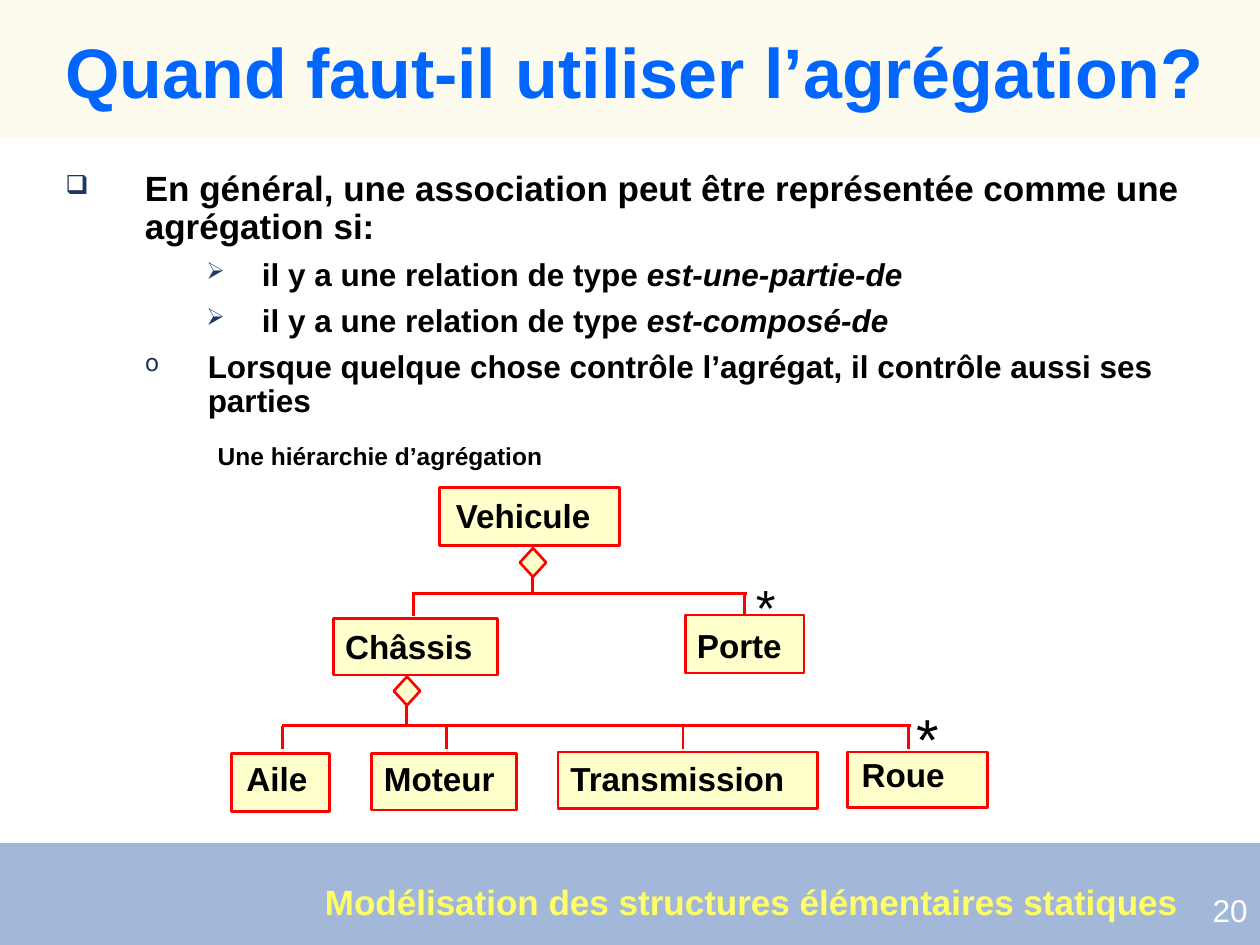
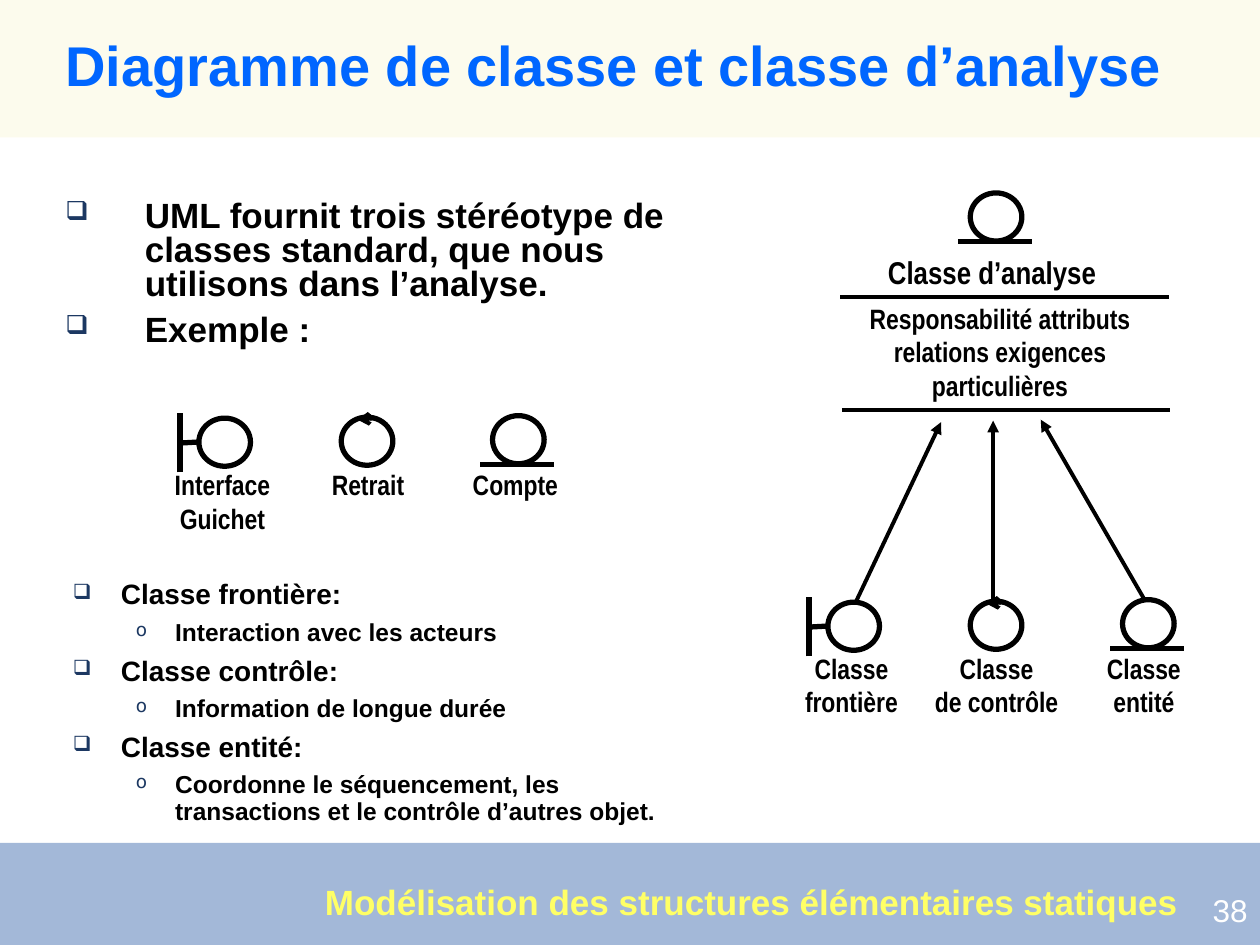
import lxml.etree
import pptx
import pptx.dml.color
import pptx.enum.shapes
import pptx.enum.text
import pptx.oxml.ns
import pptx.util

Cm = pptx.util.Cm
Pt = pptx.util.Pt
SHAPE = pptx.enum.shapes.MSO_SHAPE
ALIGN = pptx.enum.text.PP_ALIGN
ANCHOR = pptx.enum.text.MSO_ANCHOR
qn = pptx.oxml.ns.qn

RED, BLACK, WHITE, CREAM = "FF0000", "000000", "FFFFFF", "FFFFCC"
BLUE, YELLOW, NAVY = "0066FF", "FFFF66", "1C3862"
PAD = (0.25, 0.13)
FOOT = "Modélisation des structures élémentaires statiques"
TITLE = {"bold": True, "color": BLUE}
BOLD = {"bold": True}
NARROW = {"name": "Arial Narrow", "bold": True, "size": 16}
HEAD = {"mark": "❑", "left": 1.6, "hang": 1.6, "size": 20, "before": 7.5, "lead": 0.9}
TIGHT = HEAD | {"lead": 0.8}
SUB = {"mark": "o", "left": 2.87, "hang": 1.27, "size": 18, "before": 6.8, "lead": 0.9}
ARROW = SUB | {"mark": "➢", "left": 3.96, "hang": 1.12}
KIND = HEAD | {"left": 0.97, "hang": 0.97, "size": 16, "before": 6}
ROLE = SUB | {"left": 2.06, "hang": 0.79, "size": 14, "before": 5.2}


def rgb(code):
    """Turn a hex string into a colour."""
    return pptx.dml.color.RGBColor.from_string(code)


def place(shape, box):
    """Set the place and size of a shape in centimetres."""
    for key, size in zip(("left", "top", "width", "height"), box):
        setattr(shape, key, Cm(size))


def write(para, text, color=BLACK, size=18, **style):
    """Add runs to a paragraph; text between underscores is italic."""
    for i, part in enumerate(text.split("_")):
        if not part:
            continue
        run = para.add_run()
        run.text = part
        look = {"name": "Arial", "size": Pt(size), "italic": i % 2 == 1} | style
        for key, value in look.items():
            setattr(run.font, key, value)
        run.font.color.rgb = rgb(color)


def frame(shape, pad=PAD, wrap=True, anchor=ANCHOR.TOP):
    """Set the margins, wrapping and anchor of a text frame."""
    body = shape.text_frame
    form = {"margin_left": Cm(pad[0]), "margin_right": Cm(pad[0]),
            "margin_top": Cm(pad[1]), "margin_bottom": Cm(pad[1]),
            "word_wrap": wrap, "vertical_anchor": anchor,
            "auto_size": pptx.enum.text.MSO_AUTO_SIZE.NONE}
    for key, value in form.items():
        setattr(body, key, value)
    return body


def label(slide, text, box, style, align=ALIGN.LEFT, lead=None, **form):
    """Add a text box with one paragraph for each line of text."""
    shape = slide.shapes.add_textbox(*map(Cm, box))
    body = frame(shape, **form)
    for i, line in enumerate(text.split("\n")):
        para = body.add_paragraph() if i else body.paragraphs[0]
        para.alignment = align
        para.line_spacing = lead
        write(para, line, **style)


def bullet(para, mark, left, hang):
    """Give a paragraph a hanging bullet."""
    props = para._p.get_or_add_pPr()
    props.set("marL", str(Cm(left)))
    props.set("indent", str(-Cm(hang)))
    tint = lxml.etree.SubElement(props, qn("a:buClr"))
    lxml.etree.SubElement(tint, qn("a:srgbClr"), val=NAVY)
    lxml.etree.SubElement(props, qn("a:buSzPct"), val="75000")
    lxml.etree.SubElement(props, qn("a:buChar"), char=mark)


def outline(slide, box, rows):
    """Add a bulleted list made of level and text pairs."""
    body = frame(slide.shapes.add_textbox(*map(Cm, box)))
    for i, (level, text) in enumerate(rows):
        para = body.add_paragraph() if i else body.paragraphs[0]
        bullet(para, level["mark"], level["left"], level["hang"])
        para.line_spacing = level["lead"]
        if i:
            para.space_before = Pt(level["before"])
        write(para, text, size=level["size"], bold=True)


def solid(parent, kind, box, fill, line=None, width=1.5, alpha=None):
    """Add a filled preset shape."""
    shape = parent.shapes.add_shape(kind, *map(Cm, box))
    shape.shadow.inherit = False
    shape.fill.solid()
    shape.fill.fore_color.rgb = rgb(fill)
    if alpha:
        tint = shape.element.spPr.find(".//" + qn("a:srgbClr"))
        lxml.etree.SubElement(tint, qn("a:alpha"), val=str(alpha * 1000))
    if line:
        shape.line.color.rgb = rgb(line)
        shape.line.width = Pt(width)
    else:
        shape.line.fill.background()
    return shape


def link(parent, start, end, color=BLACK, width=2.25, tip=None):
    """Add a straight line, with an arrowhead at its end if asked."""
    kind = pptx.enum.shapes.MSO_CONNECTOR.STRAIGHT
    line = parent.shapes.add_connector(kind, *map(Cm, (*start, *end)))
    line.line.color.rgb = rgb(color)
    line.line.width = Pt(width)
    props = line.element.spPr
    if tip:
        lxml.etree.SubElement(props.find(qn("a:ln")), qn("a:tailEnd"), type=tip)
    lxml.etree.SubElement(props, qn("a:effectLst"))


def node(slide, text, box, pad):
    """Add a class box of the hierarchy."""
    shape = solid(slide, SHAPE.RECTANGLE, box, CREAM, RED)
    para = frame(shape, pad, wrap=False).paragraphs[0]
    para.alignment = ALIGN.LEFT
    write(para, text, size=19, bold=True)


def icon(slide, kind, x, y):
    """Add the symbol of an analysis class as a group."""
    group = slide.shapes.add_group_shape()
    solid(group, SHAPE.OVAL, (x, y, 1.04, 0.97), WHITE, BLACK, 3)
    if kind == "entity":
        link(group, (x - 0.25, y + 0.98), (x + 1.24, y + 0.98), width=3)
    elif kind == "edge":
        link(group, (x - 0.38, y + 1.09), (x - 0.38, y - 0.1), width=3)
        link(group, (x, y + 0.48), (x - 0.36, y + 0.5), width=3)
    else:
        link(group, (x + 0.69, y + 0.02), (x + 0.33, y + 0.05), tip="arrow")


def start(deck, title, size, height, number):
    """Add a slide with its bands, title, footer and number."""
    slide = deck.slides.add_slide(deck.slide_layouts[5])
    solid(slide, SHAPE.RECTANGLE, (0, 0, 25.4, 2.77), "FAF8D8", alpha=45)
    solid(slide, SHAPE.RECTANGLE, (0, 16.99, 25.4, 2.06), "3363A9", alpha=45)
    head = slide.shapes.title
    slide.shapes.element.append(head.element)
    place(head, (1.07, 0.64, 23.8, height))
    para = frame(head).paragraphs[0]
    para.alignment = ALIGN.LEFT
    para.line_spacing = 0.9
    write(para, title, size=size, **TITLE)
    label(slide, str(number), (22.91, 17.83, 2.49, 1.02), {"color": WHITE}, ALIGN.RIGHT)
    label(slide, FOOT, (6.55, 17.75, 17.22, 0.84),
          BOLD | {"size": 20, "color": YELLOW}, pad=(0, 0), wrap=False)
    return slide


def parts(deck):
    """Build the slide on aggregation."""
    slide = start(deck, "Quand faut-il utiliser l’agrégation?", 40, 1.78, 20)
    outline(slide, (1.07, 3.33, 23.83, 5.23), [
        (HEAD, "En général, une association peut être représentée comme une agrégation si:"),
        (ARROW, "il y a une relation de type _est-une-partie-de_"),
        (ARROW, "il y a une relation de type _est-composé-de_"),
        (SUB, "Lorsque quelque chose contrôle l’agrégat, il contrôle aussi ses parties"),
    ])
    label(slide, "Une hiérarchie d’agrégation", (4.14, 8.81, 10.49, 0.81),
          BOLD | {"size": 14}, lead=0.9, anchor=ANCHOR.MIDDLE)
    for box, size in (((15.24, 11.61, 0.41, 1.22), 29), ((18.47, 14.17, 0.46, 1.4), 33)):
        label(slide, "*", box, {"size": size}, pad=(0, 0), wrap=False)
    for text, box, pad in (
        ("Vehicule", (8.86, 9.83, 3.63, 1.17), (0.33, 0.15)),
        ("Châssis", (6.73, 12.47, 3.3, 1.14), (0.23, 0.15)),
        ("Porte", (13.82, 12.4, 2.39, 1.17), (0.23, 0.2)),
        ("Aile", (4.67, 15.19, 1.98, 1.17), (0.3, 0.1)),
        ("Moteur", (7.49, 15.19, 2.92, 1.14), (0.25, 0.1)),
        ("Transmission", (11.25, 15.16, 5.23, 1.14), (0.25, 0.13)),
        ("Roue", (17.09, 15.16, 2.82, 1.12), (0.28, 0.05)),
    ):
        node(slide, text, box, pad)
    for stem, top, left, right, drops in (
        (10.74, 11.05, 8.31, 15.06, (8.33, 15.01)),
        (8.2, 13.64, 5.69, 18.36, (5.69, 9, 13.77, 18.31)),
    ):
        bar = top + (0.91 if top < 12 else 0.99)
        link(slide, (left, bar), (right, bar), RED, 1.5)
        link(slide, (stem, bar), (stem, top + 0.58), RED, 1.5)
        for x in drops:
            link(slide, (x, bar), (x, bar + 0.46), RED, 1.5)
        solid(slide, SHAPE.DIAMOND, (stem - 0.26, top, 0.53, 0.58), CREAM, RED)


def kinds(deck):
    """Build the slide on analysis classes."""
    slide = start(deck, "Diagramme de classe et classe d’analyse", 32, 1.47, 38)
    outline(slide, (1.07, 3.94, 13.39, 3.56), [
        (TIGHT, "UML fournit trois stéréotype de classes standard, que nous "
                "utilisons dans l’analyse."),
        (TIGHT, "Exemple :"),
    ])
    outline(slide, (1.22, 11.58, 13.39, 5.21), [
        (KIND, "Classe frontière:"),
        (ROLE, "Interaction avec les acteurs"),
        (KIND, "Classe contrôle:"),
        (ROLE, "Information de longue durée"),
        (KIND, "Classe entité:"),
        (ROLE, "Coordonne le séquencement, les transactions et le contrôle d’autres objet."),
    ])
    for kind, x, y in (
        ("entity", 19.56, 3.89),
        ("edge", 16.69, 12.14), ("control", 19.56, 12.12), ("entity", 22.63, 12.09),
        ("edge", 4.01, 8.43), ("control", 6.88, 8.41), ("entity", 9.93, 8.38),
    ):
        icon(slide, kind, x, y)
    for left, y in ((16.94, 5.99), (16.97, 8.26)):
        link(slide, (left, y), (left + 6.62, y))
    for tail, tip in (((17.25, 12.14), (18.97, 8.51)),
                      ((20.02, 12.17), (20.02, 8.48)),
                      ((23.09, 12.12), (20.98, 8.46))):
        link(slide, tail, tip, tip="triangle")
    label(slide, "Classe d’analyse", (17.65, 4.98, 5.36, 1.02), NARROW | {"size": 18})
    for text, box in (
        ("Responsabilité attributs relations exigences particulières",
         (17.15, 5.94, 6.02, 2.29)),
        ("Classe\nfrontière", (15.88, 13, 2.57, 1.63)),
        ("Classe\nde contrôle", (18.49, 13, 3.2, 1.63)),
        ("Classe\nentité", (21.56, 13, 3, 1.63)),
        ("Interface Guichet", (3.2, 9.3, 2.57, 1.63)),
        ("Retrait", (5.92, 9.3, 3, 0.94)),
        ("Compte", (8.89, 9.3, 3, 0.94)),
    ):
        label(slide, text, box, NARROW, ALIGN.CENTER)


def main():
    """Build and save the deck."""
    deck = pptx.Presentation()
    deck.slide_width, deck.slide_height = Cm(25.4), Cm(19.05)
    parts(deck)
    kinds(deck)
    deck.save("out.pptx")


if __name__ == "__main__":
    main()
